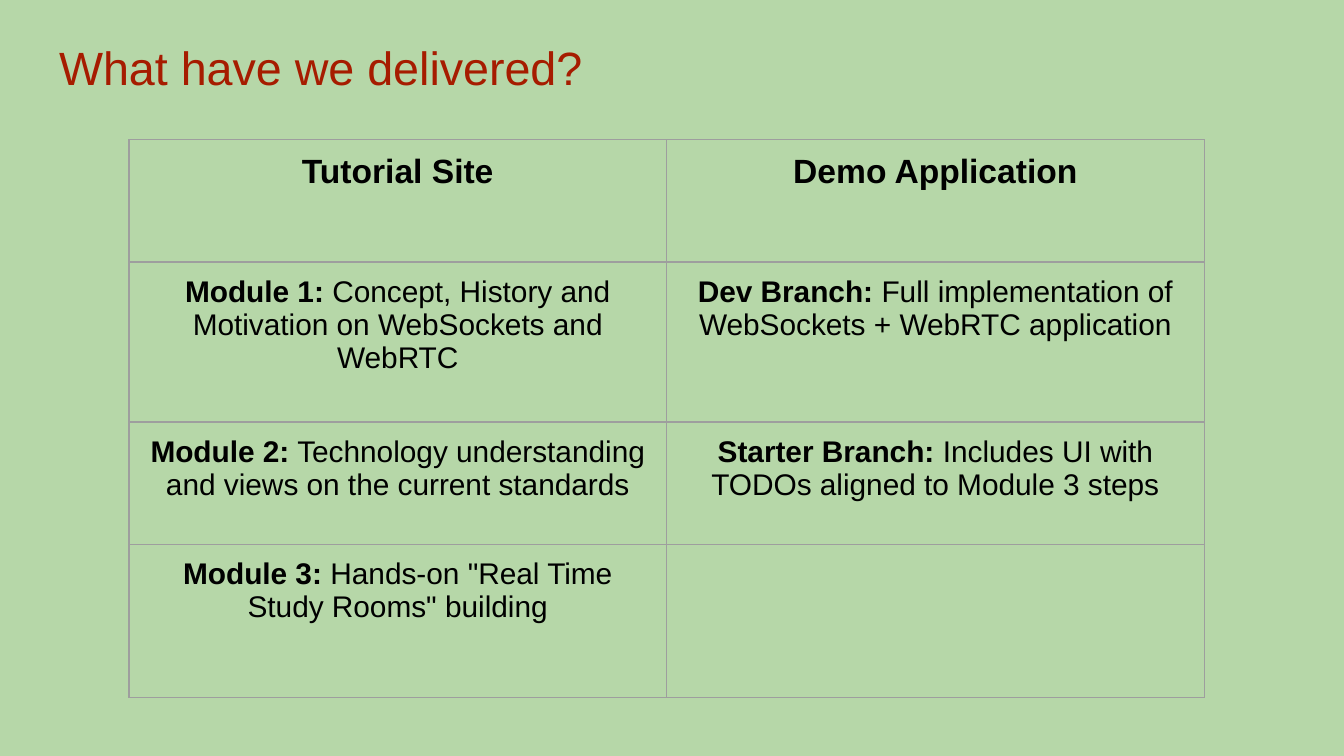
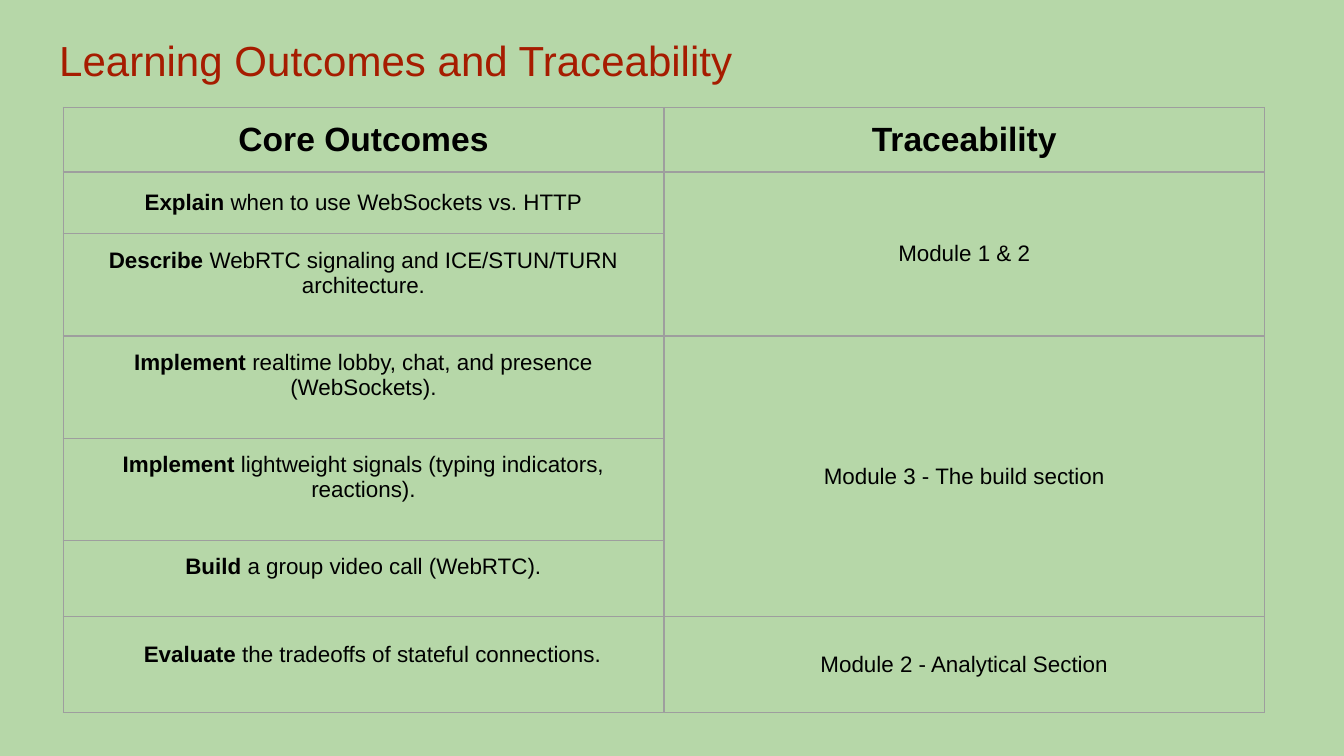
from lxml.etree import SubElement
from pptx import Presentation
from pptx.dml.color import RGBColor
from pptx.enum.text import MSO_ANCHOR as Anchor, PP_ALIGN as Align
from pptx.oxml.ns import qn
from pptx.util import Inches, Pt

WIDTH = 10
HEIGHT = WIDTH * 9 / 16
FONT = "Arial"
GREEN, RED, BLACK, GREY = "B6D7A8", "A61C00", "000000", "9E9E9E"
INSET = 0.1
HEADER_SIZE = 18

DELIVERED = {
    "title": "What have we delivered?",
    "title_top": 0.19,
    "title_size": 25,
    "spaced_title": False,
    "at": (0.96, 1.04),
    "column": 4,
    "rows": (0.91, 1.19, 0.91, 1.14),
    "size": 16,
    "anchor": Anchor.TOP,
    "extra_bottom": {},
    "indented": (),
    "merges": (),
    "cells": [
        [("Tutorial Site", ""), ("Demo Application", "")],
        [("Module 1:", " Concept, History and Motivation on WebSockets and WebRTC"),
         ("Dev Branch:", " Full implementation of WebSockets + WebRTC application")],
        [("Module 2:", " Technology understanding and views on the current standards"),
         ("Starter Branch:", " Includes UI with TODOs aligned to Module 3 steps")],
        [("Module 3:", ' Hands-on "Real Time Study Rooms" building'), None],
    ],
}

OUTCOMES = {
    "title": "Learning Outcomes and Traceability",
    "title_top": 0.1,
    "title_size": 22.5,
    "spaced_title": True,
    "at": (0.47, 0.8),
    "column": 4.47,
    "rows": (0.48, 0.46, 0.76, 0.76, 0.76, 0.57, 0.71),
    "size": 12,
    "anchor": Anchor.MIDDLE,
    "extra_bottom": {(row, 0): 0.18 for row in range(2, 7)},
    "indented": ((6, 0),),
    "merges": ((1, 2), (3, 5)),
    "cells": [
        [("Core Outcomes", ""), ("Traceability", "")],
        [("Explain", " when to use WebSockets vs. HTTP"), ("", "Module 1 & 2")],
        [("Describe", " WebRTC signaling and ICE/STUN/TURN architecture."), None],
        [("Implement", " realtime lobby, chat, and presence (WebSockets)."),
         ("", "Module 3 - The build section")],
        [("Implement", " lightweight signals (typing indicators, reactions)."), None],
        [("Build", " a group video call (WebRTC)."), None],
        [("Evaluate", " the tradeoffs of stateful connections."),
         ("", "Module 2 - Analytical Section")],
    ],
}


def colour(value):
    return RGBColor.from_string(value)


def add_span(para, text, size, ink, bold=False):
    span = para.add_run()
    span.text = text
    span.font.name = FONT
    span.font.size = Pt(size)
    span.font.bold = bold
    span.font.color.rgb = colour(ink)


def set_margins(target, bottom=INSET):
    target.margin_left = target.margin_right = target.margin_top = Inches(INSET)
    target.margin_bottom = Inches(bottom)


def add_borders(cell):
    properties = cell._tc.get_or_add_tcPr()
    for position, side in enumerate(("a:lnL", "a:lnR", "a:lnT", "a:lnB")):
        line = SubElement(properties, qn(side), w=str(Pt(0.75)))
        fill = SubElement(line, qn("a:solidFill"))
        SubElement(fill, qn("a:srgbClr"), val=GREY)
        properties.remove(line)
        properties.insert(position, line)


def add_title(page, content):
    box = page.shapes.title
    box.left, box.top = Inches(0.34), Inches(content["title_top"])
    box.width, box.height = Inches(WIDTH - 2 * 0.34), Inches(0.63)
    frame = box.text_frame
    frame.word_wrap = True
    frame.vertical_anchor = Anchor.TOP
    set_margins(frame)
    para = frame.paragraphs[0]
    para.alignment = Align.LEFT
    if content["spaced_title"]:
        para.line_spacing = 1.15
        para.space_before = para.space_after = Pt(12)
    add_span(para, content["title"], content["title_size"], RED)


def fill_cell(cell, place, words, content):
    header = place[0] == 0
    cell.fill.background()
    add_borders(cell)
    set_margins(cell, INSET + content["extra_bottom"].get(place, 0))
    cell.vertical_anchor = Anchor.TOP if header else content["anchor"]
    if words is None:
        return
    para = cell.text_frame.paragraphs[0]
    if place in content["indented"]:
        para.alignment = Align.LEFT
        para.line_spacing = 1.15
        para.space_before = Pt(12)
        para._p.get_or_add_pPr().set("marL", str(Inches(0.5)))
    else:
        para.alignment = Align.CENTER
    size = HEADER_SIZE if header else content["size"]
    for text, bold in zip(words, (True, False)):
        if text:
            add_span(para, text, size, BLACK, bold)


def add_grid(page, content):
    rows, column = content["rows"], content["column"]
    left, top = content["at"]
    table = page.shapes.add_table(
        len(rows), 2, Inches(left), Inches(top),
        Inches(2 * column), Inches(sum(rows))).table
    table.first_row = table.horz_banding = False
    for row, height in zip(table.rows, rows):
        row.height = Inches(height)
    for first, last in content["merges"]:
        table.cell(first, 1).merge(table.cell(last, 1))
    for row, line in enumerate(content["cells"]):
        for col, words in enumerate(line):
            fill_cell(table.cell(row, col), (row, col), words, content)


def main():
    deck = Presentation()
    deck.slide_width, deck.slide_height = Inches(WIDTH), Inches(HEIGHT)
    backdrop = deck.slide_master.background.fill
    backdrop.solid()
    backdrop.fore_color.rgb = colour(GREEN)
    for content in (DELIVERED, OUTCOMES):
        page = deck.slides.add_slide(deck.slide_layouts[5])
        add_title(page, content)
        add_grid(page, content)
    deck.save("out.pptx")


if __name__ == "__main__":
    main()
